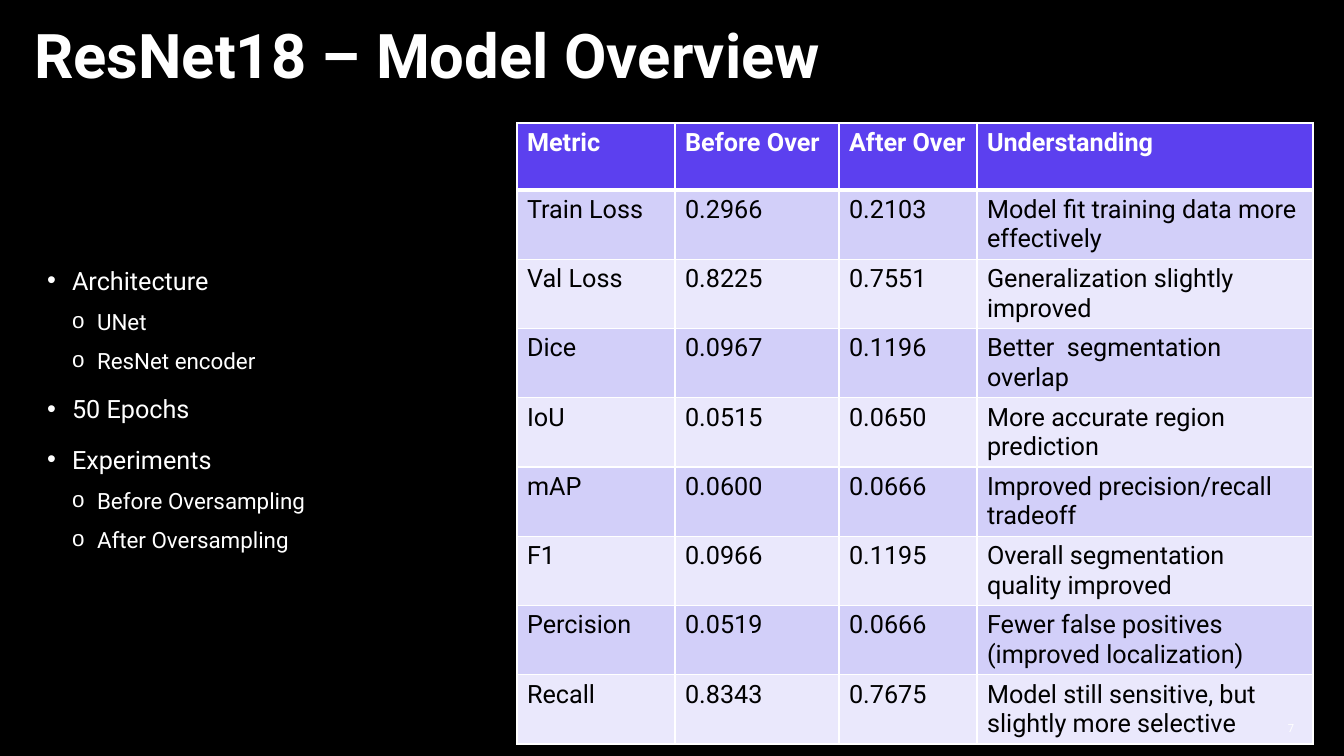
from dataclasses import dataclass

from lxml import etree
from pptx import Presentation
from pptx.dml.color import RGBColor
from pptx.enum.text import MSO_ANCHOR, MSO_AUTO_SIZE, PP_ALIGN
from pptx.oxml.ns import qn
from pptx.util import Emu, Pt

BOTTOM, TOP, LEFT, RIGHT = MSO_ANCHOR.BOTTOM, MSO_ANCHOR.TOP, PP_ALIGN.LEFT, PP_ALIGN.RIGHT
NO_AUTOFIT = MSO_AUTO_SIZE.NONE
PX_PER_INCH = 100.8


@dataclass(frozen=True)
class Theme:
    """Hold the colours and type sizes of the deck."""
    font: str = "Roboto"
    background: str = "000000"
    light: str = "FFFFFF"
    dark: str = "000000"
    header: str = "5C40EF"
    bands: tuple = ("D2CFF9", "EAE8FC")
    title_size: int = 44
    body_sizes: tuple = (18, 16)
    table_size: int = 18
    number_size: int = 8


THEME = Theme()

BULLETS = [
    (0, "Architecture"),
    (1, "UNet"),
    (1, "ResNet encoder"),
    (0, "50 Epochs"),
    (0, "Experiments"),
    (1, "Before Oversampling"),
    (1, "After Oversampling"),
]
METRICS = [
    ("Metric", "Before Over", "After Over", "Understanding"),
    ("Train Loss", "0.2966", "0.2103", "Model fit training data more effectively"),
    ("Val Loss", "0.8225", "0.7551", "Generalization slightly improved"),
    ("Dice", "0.0967", "0.1196", "Better  segmentation overlap"),
    ("IoU", "0.0515", "0.0650", "More accurate region prediction"),
    ("mAP", "0.0600", "0.0666", "Improved precision/recall tradeoff"),
    ("F1", "0.0966", "0.1195", "Overall segmentation quality improved"),
    ("Percision", "0.0519", "0.0666", "Fewer false positives (improved localization)"),
    ("Recall", "0.8343", "0.7675", "Model still sensitive, but slightly more selective"),
]
COLUMN_WIDTHS = (158, 164, 138, 336)
ROW_HEIGHT = 67


def px(length):
    """Turn pixels into EMU."""
    return Emu(round(length * 914400 / PX_PER_INCH))


def place(shape, box):
    """Move a shape to a pixel box."""
    shape.left, shape.top, shape.width, shape.height = map(px, box)


def style(paragraph, size, color, bold=False):
    """Format every run of a paragraph."""
    for run in paragraph.runs:
        run.font.name = THEME.font
        run.font.size = Pt(size)
        run.font.bold = bold
        run.font.color.rgb = RGBColor.from_string(color)


def add_bullet(paragraph, level):
    """Give a paragraph its bullet and hanging indent."""
    properties = paragraph._p.get_or_add_pPr()
    properties.set("marL", str(px(25 * (level + 1))))
    properties.set("indent", str(-px(25)))
    etree.SubElement(properties, qn("a:buFont"), typeface="Arial")
    etree.SubElement(properties, qn("a:buChar"), char="•o"[level])


def add_borders(cell, row):
    """Draw white cell borders, with a heavy rule below the header."""
    properties = cell._tc.get_or_add_tcPr()
    heavy_sides = {0: "lnB", 1: "lnT"}
    for side in ("lnL", "lnR", "lnT", "lnB"):
        width = 3 if heavy_sides.get(row) == side else 1
        line = etree.SubElement(properties, qn(f"a:{side}"), w=str(Pt(width)))
        fill = etree.SubElement(line, qn("a:solidFill"))
        etree.SubElement(fill, qn("a:srgbClr"), val=THEME.light)


def fill_title(shape, box, text):
    """Write the slide title."""
    place(shape, box)
    frame = shape.text_frame
    frame.text = text
    frame.auto_size = NO_AUTOFIT
    frame.vertical_anchor = BOTTOM
    paragraph = frame.paragraphs[0]
    paragraph.alignment = LEFT
    paragraph.line_spacing = 0.9
    style(paragraph, THEME.title_size, THEME.light, bold=True)


def fill_bullets(shape, box, items):
    """Write the two-level bullet list."""
    place(shape, box)
    frame = shape.text_frame
    frame.text = "\n".join(text for _, text in items)
    frame.auto_size = NO_AUTOFIT
    frame.vertical_anchor = TOP
    for index, (level, _) in enumerate(items):
        paragraph = frame.paragraphs[index]
        add_bullet(paragraph, level)
        paragraph.level = level
        paragraph.line_spacing = 1.2
        paragraph.space_before = Pt((10, 5)[level] if index else 0)
        style(paragraph, THEME.body_sizes[level], THEME.light)


def add_metrics_table(slide, left, top):
    """Add the table of metrics before and after oversampling."""
    width, height = sum(COLUMN_WIDTHS), ROW_HEIGHT * len(METRICS)
    table = slide.shapes.add_table(
        len(METRICS), len(COLUMN_WIDTHS), px(left), px(top), px(width), px(height)
    ).table
    for column, column_width in zip(table.columns, COLUMN_WIDTHS):
        column.width = px(column_width)
    for row, values in enumerate(METRICS):
        table.rows[row].height = px(ROW_HEIGHT)
        is_header = row == 0
        fill = THEME.header if is_header else THEME.bands[(row - 1) % 2]
        color = THEME.light if is_header else THEME.dark
        for column, value in enumerate(values):
            cell = table.cell(row, column)
            cell.text_frame.text = value
            add_borders(cell, row)
            cell.fill.solid()
            cell.fill.fore_color.rgb = RGBColor.from_string(fill)
            style(cell.text_frame.paragraphs[0], THEME.table_size, color, is_header)


def add_slide_number(slide, box, number):
    """Add the small page number."""
    frame = slide.shapes.add_textbox(*map(px, box)).text_frame
    frame.word_wrap = True
    frame.text = number
    frame.vertical_anchor = MSO_ANCHOR.MIDDLE
    frame.paragraphs[0].alignment = RIGHT
    style(frame.paragraphs[0], THEME.number_size, THEME.light)


def build_overview(presentation):
    """Build the model overview slide."""
    slide = presentation.slides.add_slide(presentation.slide_layouts[1])
    slide.background.fill.solid()
    slide.background.fill.fore_color.rgb = RGBColor.from_string(THEME.background)
    fill_title(slide.shapes.title, (24, -61, 1098, 158), "ResNet18 – Model Overview")
    fill_bullets(slide.placeholders[1], (37, 254, 1098, 426), BULLETS)
    add_metrics_table(slide, 517, 123)
    add_slide_number(slide, (1244, 713, 60, 30), "7")


def main():
    """Create and save the presentation."""
    presentation = Presentation()
    presentation.slide_width, presentation.slide_height = px(1344), px(756)
    build_overview(presentation)
    presentation.save("out.pptx")


if __name__ == "__main__":
    main()
